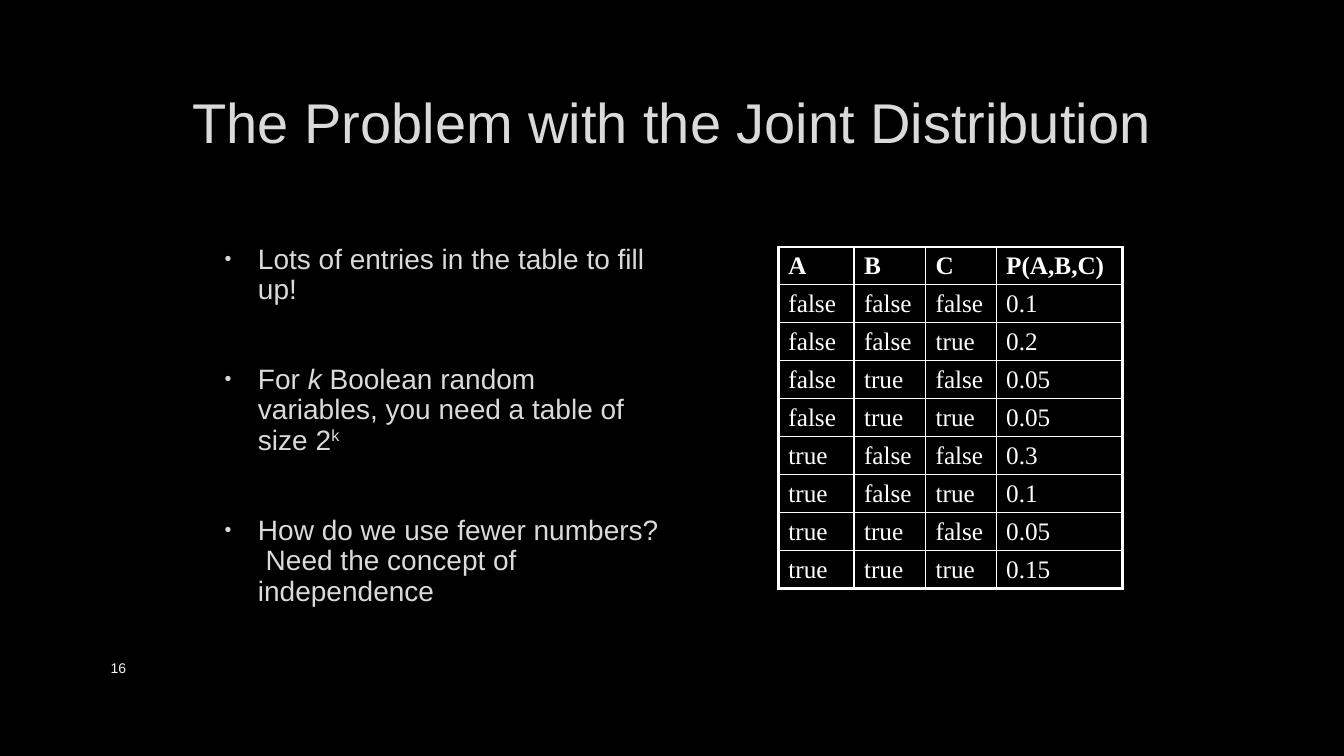
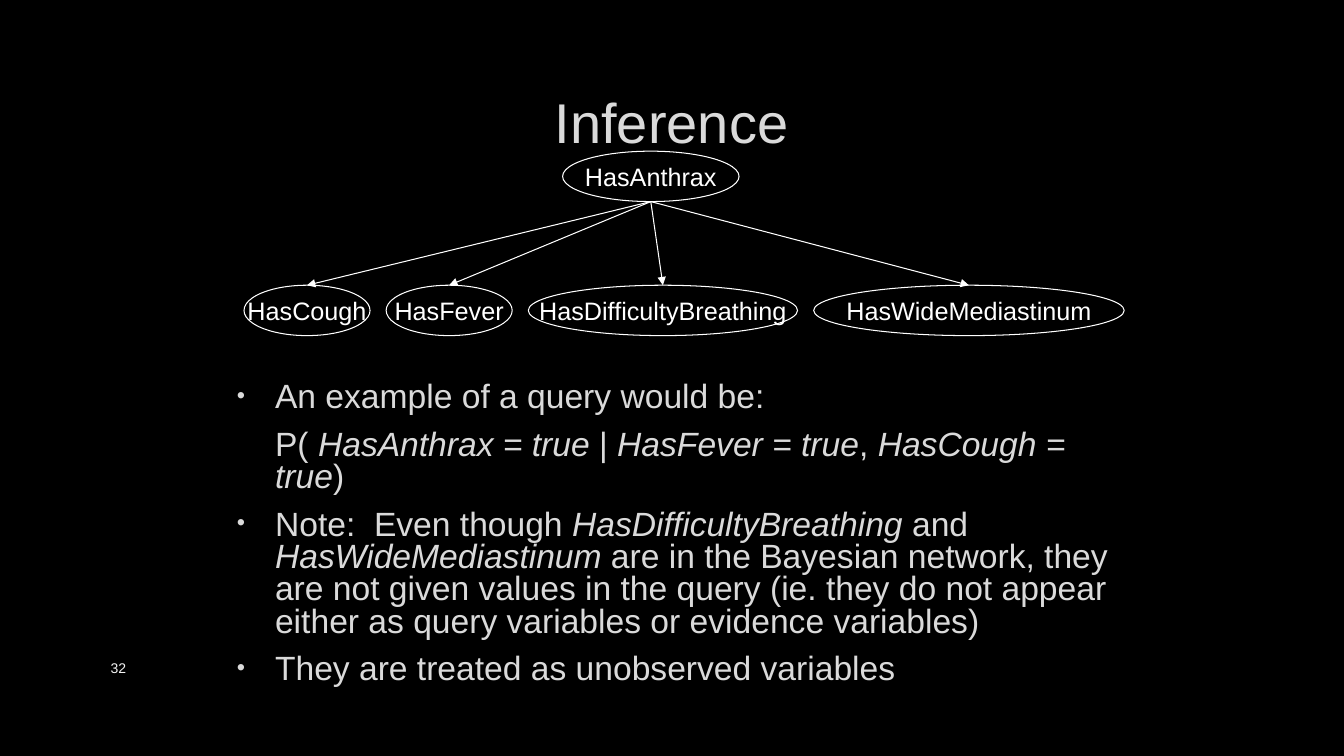
from dataclasses import dataclass

from lxml import etree
from pptx import Presentation
from pptx.dml.color import RGBColor
from pptx.enum.shapes import MSO_CONNECTOR, MSO_SHAPE
from pptx.enum.text import MSO_ANCHOR, MSO_AUTO_SIZE, PP_ALIGN
from pptx.oxml.ns import qn
from pptx.util import Inches, Pt

OVAL, STRAIGHT = MSO_SHAPE.OVAL, MSO_CONNECTOR.STRAIGHT
MIDDLE, TOP = MSO_ANCHOR.MIDDLE, MSO_ANCHOR.TOP
CENTER, LEFT = PP_ALIGN.CENTER, PP_ALIGN.LEFT
NO_FIT = MSO_AUTO_SIZE.NONE


@dataclass(frozen=True)
class Theme:
    background: str = "000000"
    text: str = "DADADA"
    bright: str = "FFFFFF"
    number: str = "F2F2F2"
    sans: str = "Arial"
    serif: str = "Times New Roman"
    title_size: int = 40
    label_size: int = 18
    number_size: int = 10
    thin: float = 0.75
    inner_border: float = 1
    outer_border: float = 2.25


THEME = Theme()
SLIDE_SIZE = (13.33, 7.5)
TITLE_AREA = (1, 0.67, 11.32, 1.06)
NUMBER_AREA = (1, 6.43, 7.3, 0.4)

PLAIN, ITALIC, RAISED = "plain", "italic", "raised"

JOINT = {
    "title": "The Problem with the Joint Distribution",
    "number": "16",
    "body": {
        "area": (2.08, 2.38, 4.58, 4.72),
        "size": 20, "line": 0.9, "before": 37, "hang": 0.33,
        "items": [
            (True, [("Lots of entries in the table to fill up!", PLAIN)]),
            (True, [("For ", PLAIN), ("k", ITALIC),
                    (" Boolean random variables, you need a table of size 2", PLAIN),
                    ("k", RAISED)]),
            (True, [("How do we use fewer numbers?  Need the concept of independence", PLAIN)]),
        ],
    },
}
TABLE_ORIGIN = (7.72, 2.45)
TABLE_HEIGHT = 3.39
COLUMN_WIDTHS = (0.75, 0.71, 0.7, 1.25)
TABLE_ROWS = [
    ("A", "B", "C", "P(A,B,C)"),
    ("false", "false", "false", "0.1"),
    ("false", "false", "true", "0.2"),
    ("false", "true", "false", "0.05"),
    ("false", "true", "true", "0.05"),
    ("true", "false", "false", "0.3"),
    ("true", "false", "true", "0.1"),
    ("true", "true", "false", "0.05"),
    ("true", "true", "true", "0.15"),
]

INFERENCE = {
    "title": "Inference",
    "number": "32",
    "body": {
        "area": (2.25, 3.75, 9.08, 2.92),
        "size": 24, "line": 0.8, "before": 5, "hang": 0.38,
        "items": [
            (True, [("An example of a query would be:", PLAIN)]),
            (False, [("P( ", PLAIN), ("HasAnthrax = true", ITALIC), (" | ", PLAIN),
                     ("HasFever = true", ITALIC), (", ", PLAIN),
                     ("HasCough = true", ITALIC), (")", PLAIN)]),
            (True, [("Note:  Even though ", PLAIN), ("HasDifficultyBreathing", ITALIC),
                    (" and ", PLAIN), ("HasWideMediastinum", ITALIC),
                    (" are in the Bayesian network, they are not given values in the query "
                     "(ie. they do not appear either as query variables or evidence variables)",
                     PLAIN)]),
            (True, [("They are treated as unobserved variables", PLAIN)]),
        ],
    },
}
CAUSE = ("HasAnthrax", 5.58, 1.5, 1.75)
SYMPTOMS = [("HasCough", 1.25), ("HasFever", 1.25),
            ("HasDifficultyBreathing", 2.67), ("HasWideMediastinum", 3.08)]
SYMPTOM_LEFT, SYMPTOM_TOP, SYMPTOM_GAP = 2.42, 2.83, 0.16
NODE_HEIGHT = 0.5
BODY_MARGIN = 0.38
SPACE_AFTER = 6


def inches(values):
    return [Inches(value) for value in values]


def color(value):
    return RGBColor.from_string(value)


def add_span(para, text, size, tint, face=THEME.sans, bold=False, style=PLAIN):
    span = para.add_run()
    span.text = text
    font = span.font
    font.name, font.size, font.bold = face, Pt(size), bold
    font.italic = style == ITALIC
    font.color.rgb = color(tint)
    if style == RAISED:
        span._r.get_or_add_rPr().set("baseline", "30000")


def prepare_frame(frame, anchor, wrap=True):
    frame.auto_size = NO_FIT
    frame.word_wrap = wrap
    frame.vertical_anchor = anchor
    return frame.paragraphs[0]


def set_bullet(para, hang):
    props = para._p.get_or_add_pPr()
    props.set("marL", str(Inches(BODY_MARGIN)))
    props.set("indent", str(-Inches(hang)))
    tint = etree.SubElement(props, qn("a:buClr"))
    etree.SubElement(tint, qn("a:srgbClr"), val=THEME.text)
    etree.SubElement(props, qn("a:buSzPct"), val="70000")
    etree.SubElement(props, qn("a:buFont"), typeface=THEME.sans)
    etree.SubElement(props, qn("a:buChar"), char="•")


def add_body(page, body):
    frame = page.shapes.add_textbox(*inches(body["area"])).text_frame
    para = prepare_frame(frame, TOP)
    for index, (bulleted, spans) in enumerate(body["items"]):
        if index:
            para = frame.add_paragraph()
        if bulleted:
            set_bullet(para, body["hang"])
        else:
            para._p.get_or_add_pPr().set("marL", str(Inches(BODY_MARGIN)))
        para.line_spacing = body["line"]
        para.space_before = Pt(body["before"] if index else 0)
        para.space_after = Pt(SPACE_AFTER)
        for text, style in spans:
            add_span(para, text, body["size"], THEME.text, style=style)


def add_page(deck, content):
    page = deck.slides.add_slide(deck.slide_layouts.get_by_name("Title Only"))
    title = page.shapes.title
    title.left, title.top, title.width, title.height = inches(TITLE_AREA)
    para = prepare_frame(title.text_frame, MIDDLE)
    para.alignment = CENTER
    add_span(para, content["title"], THEME.title_size, THEME.text)
    number = page.shapes.add_textbox(*inches(NUMBER_AREA))
    para = prepare_frame(number.text_frame, MIDDLE)
    add_span(para, content["number"], THEME.number_size, THEME.number)
    add_body(page, content["body"])
    return page


def set_borders(cell, outer_sides):
    props = cell._tc.get_or_add_tcPr()
    for side in "LRTB":
        width = THEME.outer_border if side in outer_sides else THEME.inner_border
        line = etree.SubElement(props, qn(f"a:ln{side}"), w=str(Pt(width)))
        fill = etree.SubElement(line, qn("a:solidFill"))
        etree.SubElement(fill, qn("a:srgbClr"), val=THEME.bright)


def add_probability_table(page):
    rows, columns = len(TABLE_ROWS), len(COLUMN_WIDTHS)
    area = (*TABLE_ORIGIN, sum(COLUMN_WIDTHS), TABLE_HEIGHT)
    table = page.shapes.add_table(rows, columns, *inches(area)).table
    table.horz_banding = False
    for column, width in zip(table.columns, COLUMN_WIDTHS):
        column.width = Inches(width)
    for r, values in enumerate(TABLE_ROWS):
        table.rows[r].height = Inches(TABLE_HEIGHT / rows)
        for c, value in enumerate(values):
            cell = table.cell(r, c)
            edges = {"L": c == 0, "R": c == columns - 1, "T": r == 0, "B": r == rows - 1}
            set_borders(cell, [side for side, outer in edges.items() if outer])
            cell.fill.solid()
            cell.fill.fore_color.rgb = color(THEME.background)
            cell.margin_top = cell.margin_bottom = Inches(0.04)
            cell.vertical_anchor = MIDDLE
            para = cell.text_frame.paragraphs[0]
            para.alignment = LEFT
            add_span(para, value, THEME.label_size, THEME.bright, THEME.serif, bold=r == 0)


def add_node(page, label, left, top, width):
    node = page.shapes.add_shape(OVAL, *inches((left, top, width, NODE_HEIGHT)))
    node.shadow.inherit = False
    node.fill.solid()
    node.fill.fore_color.rgb = color(THEME.background)
    node.line.color.rgb = color(THEME.bright)
    node.line.width = Pt(THEME.thin)
    para = prepare_frame(node.text_frame, MIDDLE, wrap=False)
    para.alignment = CENTER
    add_span(para, label, THEME.label_size, THEME.bright)
    return node


def add_arrow(page, source, target):
    arrow = page.shapes.add_connector(
        STRAIGHT,
        source.left + source.width // 2, source.top + source.height,
        target.left + target.width // 2, target.top)
    arrow.line.color.rgb = color(THEME.bright)
    arrow.line.width = Pt(THEME.thin)
    etree.SubElement(arrow.line._get_or_add_ln(), qn("a:tailEnd"), type="triangle")
    etree.SubElement(arrow._element.spPr, qn("a:effectLst"))


def add_network(page):
    cause = add_node(page, *CAUSE)
    left = SYMPTOM_LEFT
    for label, width in SYMPTOMS:
        symptom = add_node(page, label, left, SYMPTOM_TOP, width)
        add_arrow(page, cause, symptom)
        left += width + SYMPTOM_GAP


def main():
    deck = Presentation()
    deck.slide_width, deck.slide_height = inches(SLIDE_SIZE)
    backdrop = deck.slide_master.background.fill
    backdrop.solid()
    backdrop.fore_color.rgb = color(THEME.background)
    add_probability_table(add_page(deck, JOINT))
    add_network(add_page(deck, INFERENCE))
    deck.save("out.pptx")


if __name__ == "__main__":
    main()
